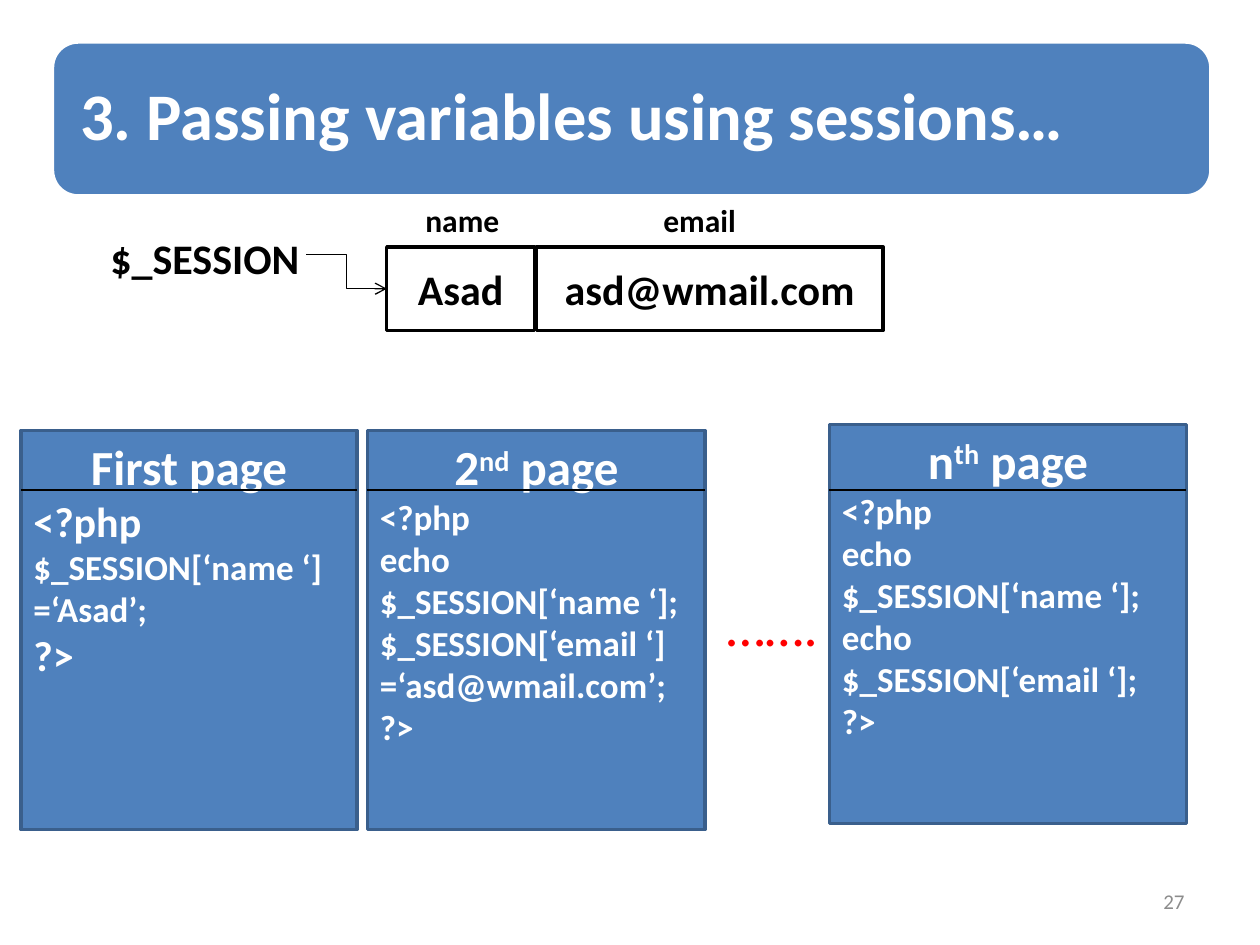
from lxml import etree
from pptx import Presentation
from pptx.dml.color import RGBColor
from pptx.enum.shapes import MSO_CONNECTOR, MSO_SHAPE
from pptx.enum.text import MSO_ANCHOR, PP_ALIGN
from pptx.oxml.ns import qn
from pptx.util import Pt

BLUE = RGBColor(0x4F, 0x81, 0xBD)
NAVY = RGBColor(0x3A, 0x5F, 0x8C)
WHITE = RGBColor(0xFF, 0xFF, 0xFF)
BLACK = RGBColor(0, 0, 0)
GREY = RGBColor(0x8C, 0x8C, 0x8C)
RED = RGBColor(0xFF, 0, 0)
RECT, ROUND = MSO_SHAPE.RECTANGLE, MSO_SHAPE.ROUNDED_RECTANGLE
LINE, ELBOW = MSO_CONNECTOR.STRAIGHT, MSO_CONNECTOR.ELBOW
LEFT, MID, RIGHT = PP_ALIGN.LEFT, PP_ALIGN.CENTER, PP_ALIGN.RIGHT
TOP, CENTER = MSO_ANCHOR.TOP, MSO_ANCHOR.MIDDLE
RULE_Y = 280

# Left, top, width, heading (base, raised, rest), code lines with sizes
PAGES = [
    (12, 246, 192, ("First page", "", ""),
     [("<?php", 24), ("$_SESSION[‘name ‘] =‘Asad’;", 20), ("?>", 24)]),
    (210, 246, 193, ("2", "nd", " page"),
     [("<?php", 20), ("echo $_SESSION[‘name ‘];", 20),
      ("$_SESSION[‘email ‘] =‘asd@wmail.com’;", 20), ("?>", 20)]),
    (474, 242.5, 204, ("n", "th", " page"),
     [("<?php", 20), ("echo $_SESSION[‘name ‘];", 20), ("echo", 20),
      ("$_SESSION[‘email ‘];", 20), ("?>", 20)]),
]
# Text, left, top, width, height, format
LABELS = [
    ("name", 236, 111.5, 66, 29, {"size": Pt(18)}),
    ("email", 372, 111.5, 132, 29, {"size": Pt(18)}),
    ("$_SESSION", 56, 129.5, 127.5, 36, {"size": Pt(24)}),
    ("…….", 408, 334, 72, 46,
     {"size": Pt(32), "bold": False, "color": RED}),
]


def add_run(para, text, color=BLACK, **form):
    run = para.add_run()
    run.text = text
    run.font.color.rgb = color
    for key, value in ({"name": "Calibri", "bold": True} | form).items():
        setattr(run.font, key, value)
    return run


def add_box(slide, kind, area, fill, edge, anchor=CENTER):
    box = slide.shapes.add_shape(kind, *map(Pt, area))
    box.shadow.inherit = False
    box.fill.solid()
    box.fill.fore_color.rgb = fill
    box.line.color.rgb = edge
    box.line.width = Pt(2)
    box.text_frame.word_wrap = True
    box.text_frame.vertical_anchor = anchor
    return box


def add_label(slide, text, *area, align=LEFT, anchor=TOP, **form):
    frame = slide.shapes.add_textbox(*map(Pt, area)).text_frame
    frame.word_wrap = True
    frame.vertical_anchor = anchor
    para = frame.paragraphs[0]
    para.alignment = align
    add_run(para, text, **form)


def add_line(slide, kind, *ends):
    line = slide.shapes.add_connector(kind, *map(Pt, ends))
    line.line.color.rgb = BLACK
    line.line.width = Pt(0.75)
    etree.SubElement(line._element.spPr, qn("a:effectLst"))
    return line


def add_title(slide, text):
    box = add_box(slide, ROUND, (30, 24, 662, 88), BLUE, WHITE)
    frame = box.text_frame
    for side in ("left", "top", "right", "bottom"):
        setattr(frame, f"margin_{side}", Pt(11.5))
    para = frame.paragraphs[0]
    para.alignment = LEFT
    para.line_spacing = 0.9
    add_run(para, text, WHITE, size=Pt(38))


def add_cell(slide, text, left, width):
    box = add_box(slide, RECT, (left, 141, width, 48), WHITE, BLACK)
    para = box.text_frame.paragraphs[0]
    para.alignment = MID
    add_run(para, text, size=Pt(24))
    return box


def add_page(slide, left, top, width, head, code):
    box = add_box(slide, RECT, (left, top, width, 228), BLUE, NAVY, TOP)
    para = box.text_frame.paragraphs[0]
    para.alignment = MID
    base, raised, rest = head
    add_run(para, base, WHITE, size=Pt(28))
    if raised:
        run = add_run(para, raised, WHITE, size=Pt(28))
        run._r.get_or_add_rPr().set("baseline", "30000")
        add_run(para, rest, WHITE, size=Pt(28))
    for text, size in code:
        para = box.text_frame.add_paragraph()
        para.alignment = LEFT
        add_run(para, text, WHITE, size=Pt(size))
    add_line(slide, LINE, left, RULE_Y, left + width, RULE_Y)


def main():
    deck = Presentation()
    deck.slide_width, deck.slide_height = Pt(720), Pt(540)
    slide = deck.slides.add_slide(deck.slide_layouts[6])

    add_title(slide, "3. Passing variables using sessions…")
    first = add_cell(slide, "Asad", 221, 84.5)
    add_cell(slide, "asd@wmail.com", 306.5, 198)
    for text, *area, form in LABELS:
        add_label(slide, text, *area, **form)

    arrow = add_line(slide, ELBOW, 175, 145.5, 221, 165)
    arrow.end_connect(first, 1)
    etree.SubElement(arrow.line._get_or_add_ln(), qn("a:tailEnd"), type="arrow")

    for page in PAGES:
        add_page(slide, *page)
    add_label(slide, "27", 516, 500.5, 168, 29, align=RIGHT, anchor=CENTER,
              size=Pt(12), bold=False, color=GREY)
    deck.save("out.pptx")


if __name__ == "__main__":
    main()
